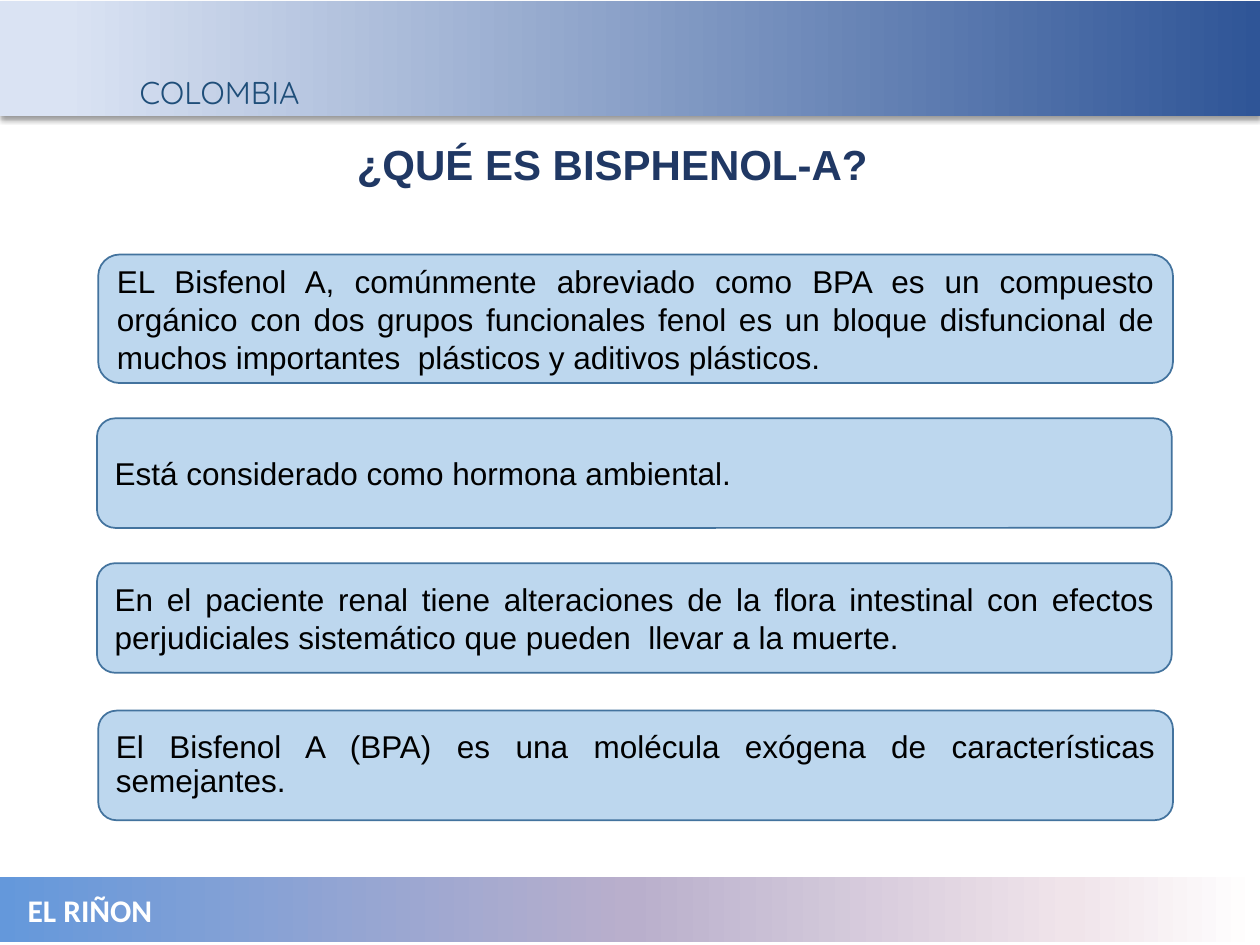
from lxml.etree import SubElement
from pptx import Presentation
from pptx.dml.color import RGBColor
from pptx.enum.shapes import MSO_SHAPE as Preset
from pptx.enum.text import MSO_ANCHOR as Anchor, PP_ALIGN as Align
from pptx.oxml.ns import qn
from pptx.util import Inches, Pt

NAVY = RGBColor(0x20, 0x38, 0x64)
TEAL = RGBColor(0x1F, 0x4E, 0x79)
WHITE = RGBColor(0xFF, 0xFF, 0xFF)
BLACK = RGBColor(0x00, 0x00, 0x00)
CARD_FILL = RGBColor(0xBD, 0xD7, 0xEE)
CARD_LINE = RGBColor(0x43, 0x73, 0x9E)
PALE_BLUE = RGBColor(0xDA, 0xE3, 0xF3)
DEEP_BLUE = RGBColor(0x2F, 0x55, 0x97)
SKY = RGBColor(0x64, 0x98, 0xDB)
LILAC = RGBColor(0xB9, 0xAF, 0xCC)
BLUSH = RGBColor(0xF0, 0xE4, 0xEA)

HEADER_STOPS = [(0, PALE_BLUE), (5, PALE_BLUE), (100, DEEP_BLUE)]
FOOTER_STOPS = [(0, SKY), (50, LILAC), (85, BLUSH), (100, WHITE)]

# Left, top, height, line spacing and text of each card
CARDS = [
    (0.78, 2.02, 1.02, 1.0,
     "EL Bisfenol A, comúnmente abreviado como BPA es un compuesto orgánico "
     "con dos grupos funcionales fenol es un bloque disfuncional de muchos "
     "importantes  plásticos y aditivos plásticos."),
    (0.77, 3.32, 0.87, 1.0, "Está considerado como hormona ambiental."),
    (0.77, 4.47, 0.87, 1.0,
     "En el paciente renal tiene alteraciones de la flora intestinal con "
     "efectos perjudiciales sistemático que pueden  llevar a la muerte."),
    (0.78, 5.64, 0.87, 0.9,
     "El Bisfenol A (BPA) es una molécula exógena de características "
     "semejantes."),
]


def write(shape, text, font="Arial", size=18, color=BLACK, bold=False,
          align=Align.JUSTIFY, anchor=Anchor.MIDDLE, spacing=1.0):
    frame = shape.text_frame
    frame.word_wrap = True
    frame.vertical_anchor = anchor
    para = frame.paragraphs[0]
    para.alignment = align
    para.line_spacing = spacing
    span = para.add_run()
    span.text = text
    span.font.name = font
    span.font.size = Pt(size)
    span.font.bold = bold
    span.font.color.rgb = color


def add_label(page, box, text, **style):
    write(page.shapes.add_textbox(*map(Inches, box)), text, **style)


def add_band(page, box, stops):
    """Draw a borderless bar with a left-to-right gradient."""
    band = page.shapes.add_shape(Preset.RECTANGLE, *map(Inches, box))
    band.shadow.inherit = False
    band.line.fill.background()
    band.fill.gradient()
    band.fill.gradient_angle = 0
    stop_list = band._element.spPr.find(qn("a:gradFill")).find(qn("a:gsLst"))
    stop_list.clear()
    for percent, color in stops:
        stop = SubElement(stop_list, qn("a:gs"), pos=str(percent * 1000))
        SubElement(stop, qn("a:srgbClr"), val=str(color))
    return band


def add_header(page, box):
    left, top, width, height = box
    band = add_band(page, box, HEADER_STOPS)
    # Soft shadow below the band
    effects = band._element.spPr.find(qn("a:effectLst"))
    shadow = SubElement(effects, qn("a:outerShdw"), blurRad=str(Pt(3)),
                        dist=str(Pt(2)), dir="5400000", rotWithShape="0")
    tint = SubElement(shadow, qn("a:srgbClr"), val=str(BLACK))
    SubElement(tint, qn("a:alpha"), val="40000")
    add_label(page, (left + 1.01, top + 0.52, 1.57, 0.4), "COLOMBIA",
              font="Quicksand", color=TEAL, align=Align.LEFT,
              anchor=Anchor.TOP)


def add_footer(page, box):
    left, top, width, height = box
    add_band(page, box, FOOTER_STOPS)
    add_label(page, (left + 0.12, top + 0.06, 7.81, 0.4), "EL RIÑON",
              font="Calibri", color=WHITE, bold=True, anchor=Anchor.TOP)


def add_card(page, box, text, spacing):
    card = page.shapes.add_shape(Preset.ROUNDED_RECTANGLE, *map(Inches, box))
    card.shadow.inherit = False
    card.fill.solid()
    card.fill.fore_color.rgb = CARD_FILL
    card.line.color.rgb = CARD_LINE
    card.line.width = Pt(1)
    write(card, text, spacing=spacing)


def main():
    deck = Presentation()
    deck.slide_width, deck.slide_height = Inches(10), Inches(7.5)
    page = deck.slides.add_slide(deck.slide_layouts[6])

    # Title
    add_label(page, (1.77, 0.99, 6.18, 0.67), "¿QUÉ ES BISPHENOL-A?",
              size=24, color=NAVY, bold=True, align=Align.CENTER, spacing=0.9)

    # Bands at the top and bottom
    add_header(page, (0, 0.01, 10, 0.91))
    add_footer(page, (0, 6.96, 10, 0.52))

    # Cards
    for left, top, height, spacing, text in CARDS:
        add_card(page, (left, top, 8.53, height), text, spacing)

    deck.save("out.pptx")


if __name__ == "__main__":
    main()
